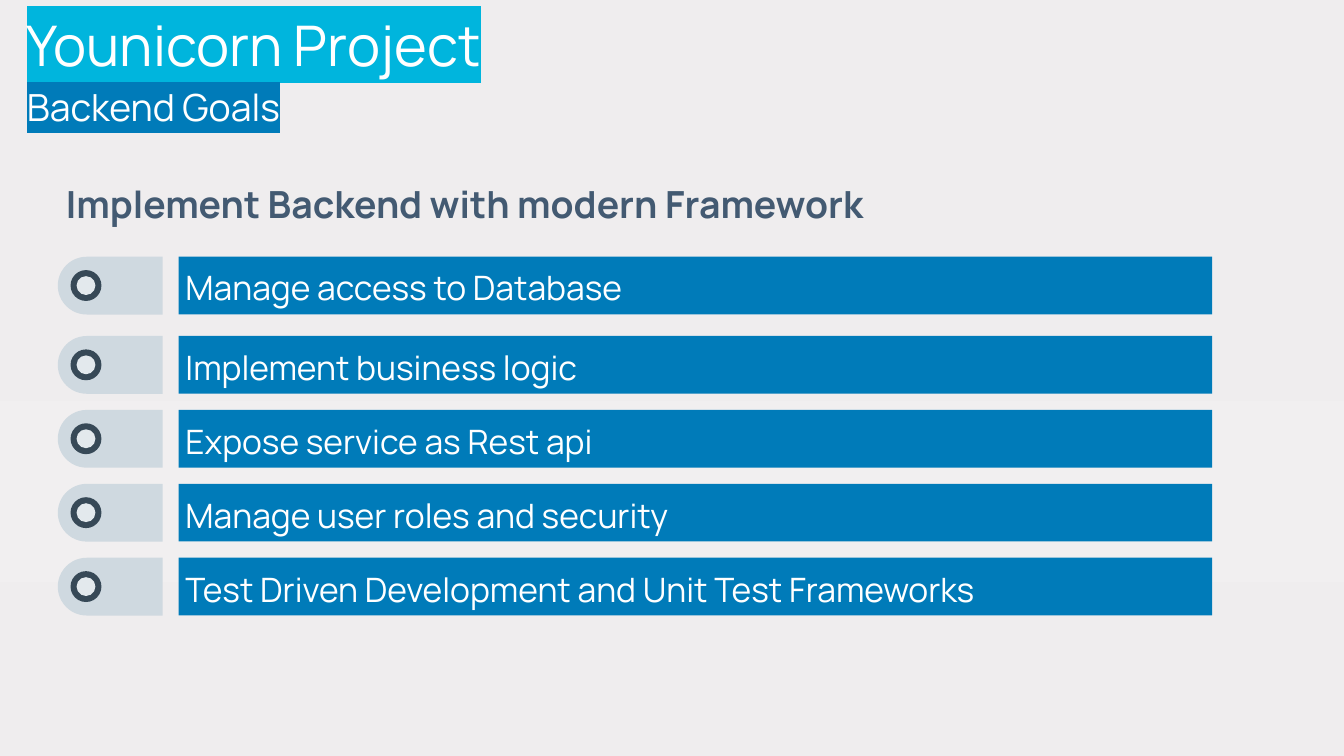
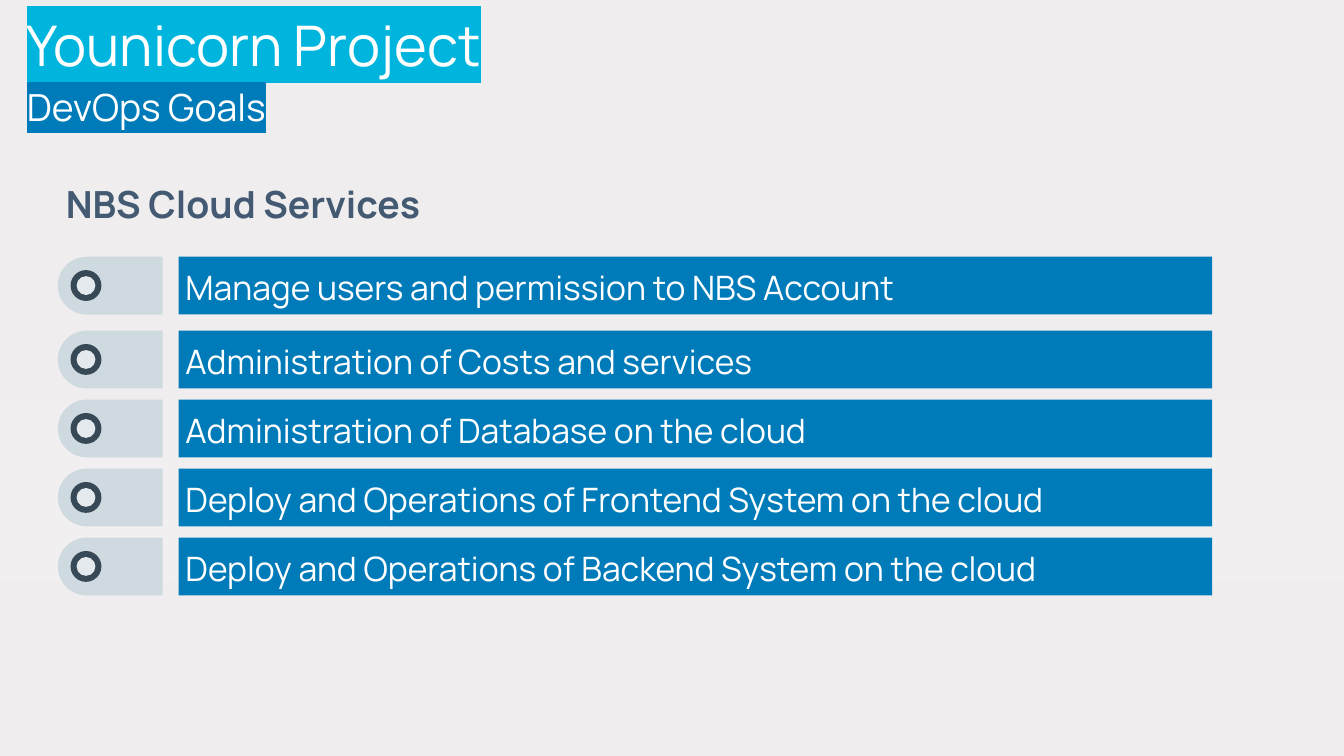
from dataclasses import dataclass

from lxml.etree import SubElement
from pptx import Presentation
from pptx.dml.color import RGBColor
from pptx.enum.shapes import MSO_SHAPE
from pptx.enum.text import MSO_ANCHOR, MSO_AUTO_SIZE, PP_ALIGN
from pptx.oxml.ns import qn
from pptx.util import Inches, Pt

PROJECT = "Younicorn Project"

# The goals from the second to the last are evenly spaced between the two tops
SLIDES = [
    {
        "subtitle": "Backend Goals",
        "heading": "Implement Backend with modern Framework",
        "goals": [
            "Manage access to Database",
            "Implement business logic",
            "Expose service as Rest api",
            "Manage user roles and security",
            "Test Driven Development and Unit Test Frameworks",
        ],
        "second_top": 2.5,
        "last_top": 4.15,
    },
    {
        "subtitle": "DevOps Goals",
        "heading": "NBS Cloud Services",
        "goals": [
            "Manage users and permission to NBS Account",
            "Administration of Costs and services",
            "Administration of Database on the cloud",
            "Deploy and Operations of Frontend System on the cloud",
            "Deploy and Operations of Backend System on the cloud",
        ],
        "second_top": 2.46,
        "last_top": 4.0,
    },
]


@dataclass(frozen=True)
class Theme:
    font: str = "Manrope"
    white: str = "FFFFFF"
    cyan: str = "00B5DD"
    blue: str = "007BB9"
    slate: str = "435A72"
    tab: str = "CFD9E0"
    ring: str = "374957"
    ring_centre: str = "E3E9ED"
    background: tuple = ((0, "EFEDEE"), (53, "F1EFF0"), (77, "EFEDEE"), (100, "EFEBEC"))
    project_size: int = 30
    heading_size: int = 20
    goal_size: int = 18


THEME = Theme()
FIRST_TOP = 1.91
ROW_HEIGHT = 0.43
TAB_LEFT, TAB_LENGTH = 0.43, 0.78
BAR_LEFT, BAR_WIDTH = 1.33, 7.69
HEADING_INSET, GOAL_INSET = 0.06, 0.05
RING_CENTRE_X = 0.64
RINGS = [(0.23, THEME.ring), (0.14, THEME.ring_centre)]


def paint_background(master):
    fill = master.background.fill
    fill.gradient()
    fill.gradient_angle = 270
    stops = master.element.find(".//" + qn("a:gsLst"))
    stops.clear()
    for percent, color in THEME.background:
        stop = SubElement(stops, qn("a:gs"), pos=str(percent * 1000))
        SubElement(stop, qn("a:srgbClr"), val=color)


def place(shape, left, top, width, height):
    shape.left, shape.top = Inches(left), Inches(top)
    shape.width, shape.height = Inches(width), Inches(height)


def set_frame(frame, anchor, inset=0):
    frame.word_wrap = True
    frame.auto_size = MSO_AUTO_SIZE.NONE
    frame.vertical_anchor = anchor
    frame.margin_left = Inches(inset)
    frame.margin_top = frame.margin_right = frame.margin_bottom = 0


def write(paragraph, text, size, color, spacing, bold=False):
    run = paragraph.add_run()
    run.text = text
    paragraph.alignment = PP_ALIGN.LEFT
    paragraph.line_spacing = spacing
    paragraph.space_before = Pt(0)
    font = paragraph.font
    font.name, font.size, font.bold = THEME.font, Pt(size), bold
    font.color.rgb = RGBColor.from_string(color)
    return run


def add_title(slide, subtitle):
    title = slide.shapes.title
    place(title, 0.2, 0, 5.83, 1.11)
    frame = title.text_frame
    set_frame(frame, MSO_ANCHOR.TOP)
    lines = [
        (frame.paragraphs[0], PROJECT, THEME.project_size, THEME.cyan),
        (frame.add_paragraph(), subtitle, THEME.heading_size, THEME.blue),
    ]
    for paragraph, text, size, band in lines:
        run = write(paragraph, text, size, THEME.white, 1.15)
        highlight = SubElement(run._r.get_or_add_rPr(), qn("a:highlight"))
        SubElement(highlight, qn("a:srgbClr"), val=band)


def add_heading(slide, text):
    heading = slide.placeholders[1]
    place(heading, 0.43, 1.28, 6.61, ROW_HEIGHT)
    set_frame(heading.text_frame, MSO_ANCHOR.MIDDLE, HEADING_INSET)
    paragraph = heading.text_frame.paragraphs[0]
    properties = paragraph._p.get_or_add_pPr()
    properties.set("marL", "0")
    properties.set("indent", "0")
    SubElement(properties, qn("a:buNone"))
    write(paragraph, text, THEME.heading_size, THEME.slate, 1.1, bold=True)


def add_filled(shapes, kind, left, top, width, height, color):
    shape = shapes.add_shape(kind, Inches(left), Inches(top), Inches(width), Inches(height))
    shape.shadow.inherit = False
    shape.fill.solid()
    shape.fill.fore_color.rgb = RGBColor.from_string(color)
    shape.line.fill.background()
    return shape


def add_marker(slide, top):
    """Add the tab with its round left end and the ring on it."""
    marker = slide.shapes.add_group_shape().shapes
    middle = top + ROW_HEIGHT / 2
    # The tab stands upright before it is turned on its side
    tab = add_filled(marker, MSO_SHAPE.ROUND_2_SAME_RECTANGLE,
                     TAB_LEFT + (TAB_LENGTH - ROW_HEIGHT) / 2, middle - TAB_LENGTH / 2,
                     ROW_HEIGHT, TAB_LENGTH, THEME.tab)
    tab.adjustments[0] = 0.5
    tab.rotation = 270
    for diameter, color in RINGS:
        add_filled(marker, MSO_SHAPE.OVAL, RING_CENTRE_X - diameter / 2,
                   middle - diameter / 2, diameter, diameter, color)


def add_goal(slide, text, top):
    bar = add_filled(slide.shapes, MSO_SHAPE.RECTANGLE, BAR_LEFT, top,
                     BAR_WIDTH, ROW_HEIGHT, THEME.blue)
    set_frame(bar.text_frame, MSO_ANCHOR.MIDDLE, GOAL_INSET)
    write(bar.text_frame.paragraphs[0], text, THEME.goal_size, THEME.white, 1.1)
    add_marker(slide, top)


def goal_tops(count, second_top, last_top):
    step = (last_top - second_top) / (count - 2)
    return [FIRST_TOP] + [second_top + row * step for row in range(count - 1)]


def main():
    prs = Presentation()
    prs.slide_width = Inches(10)
    prs.slide_height = prs.slide_width * 9 // 16
    paint_background(prs.slide_master)
    for content in SLIDES:
        slide = prs.slides.add_slide(prs.slide_layouts[1])
        add_title(slide, content["subtitle"])
        add_heading(slide, content["heading"])
        goals = content["goals"]
        tops = goal_tops(len(goals), content["second_top"], content["last_top"])
        for goal, top in zip(goals, tops):
            add_goal(slide, goal, top)
    prs.save("out.pptx")


if __name__ == "__main__":
    main()
